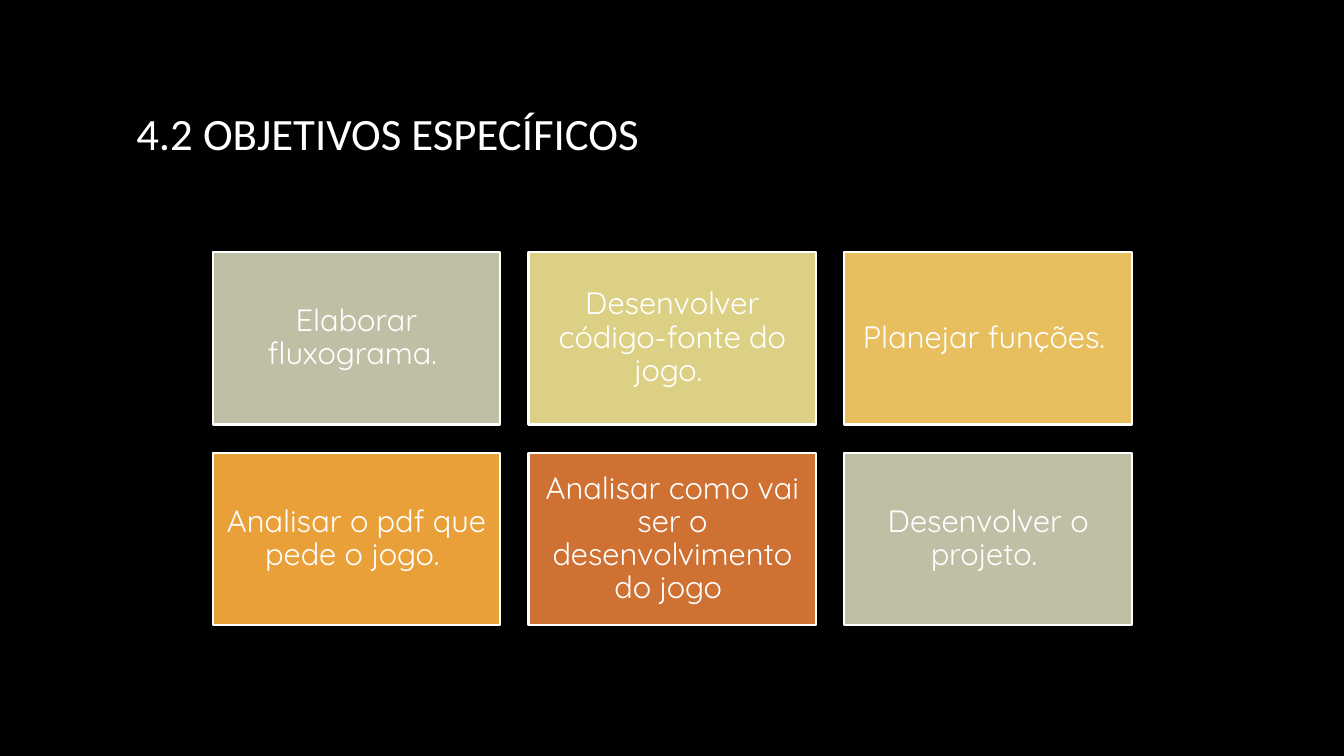
from dataclasses import dataclass

from pptx import Presentation
from pptx import util as u
from pptx.dml.color import RGBColor
from pptx.enum import shapes, text


@dataclass(frozen=True)
class Theme:
    background: str = "000000"
    ink: str = "FFFFFF"
    accents: tuple = ("BFBFA5", "DCD084", "E7BF5F", "E9A039", "CF7133")
    title_font: str = "Calibri"
    card_font: str = "Quicksand"
    title_size: int = 32
    card_size: int = 22
    outline: float = 1.5


THEME = Theme()

TITLE = "4.2 OBJETIVOS ESPECÍFICOS"
OBJECTIVES = [
    "Elaborar fluxograma. ",
    "Desenvolver código-fonte do jogo. ",
    "Planejar funções. ",
    "Analisar o pdf que pede o jogo. ",
    "Analisar como vai ser o desenvolvimento do jogo ",
    "Desenvolver o projeto. ",
]

# Card grid, in centimetres
COLUMNS = 3
GRID_LEFT, GRID_TOP = 5.36, 6.35
CARD_WIDTH, CARD_HEIGHT, GAP = 7.25, 4.35, 0.71
CARD_INSET = 0.23


def paint(fill, color):
    fill.solid()
    fill.fore_color.rgb = RGBColor.from_string(color)


def write(frame, words, *, font, size, align, spacing=None, inset=None):
    frame.word_wrap = True
    frame.auto_size = text.MSO_AUTO_SIZE.NONE
    frame.vertical_anchor = text.MSO_ANCHOR.MIDDLE
    if inset is not None:
        frame.margin_left = frame.margin_right = u.Cm(inset)
        frame.margin_top = frame.margin_bottom = u.Cm(inset)
    paragraph = frame.paragraphs[0]
    paragraph.alignment = align
    paragraph.line_spacing = spacing
    run = paragraph.add_run()
    run.text = words
    run.font.name = font
    run.font.size = u.Pt(size)
    run.font.color.rgb = RGBColor.from_string(THEME.ink)


def place_title(slide, words):
    heading = slide.shapes.title
    heading.left, heading.top = u.Cm(3.18), u.Cm(1.3)
    heading.width, heading.height = u.Cm(27.5), u.Cm(4.08)
    write(heading.text_frame, words, font=THEME.title_font,
          size=THEME.title_size, align=text.PP_ALIGN.LEFT)


def add_objective(slide, index, words):
    row, column = divmod(index, COLUMNS)
    objective = slide.shapes.add_shape(
        shapes.MSO_SHAPE.RECTANGLE,
        u.Cm(GRID_LEFT + column * (CARD_WIDTH + GAP)),
        u.Cm(GRID_TOP + row * (CARD_HEIGHT + GAP)),
        u.Cm(CARD_WIDTH), u.Cm(CARD_HEIGHT))
    objective.shadow.inherit = False
    paint(objective.fill, THEME.accents[index % len(THEME.accents)])
    paint(objective.line.fill, THEME.ink)
    objective.line.width = u.Pt(THEME.outline)
    write(objective.text_frame, words, font=THEME.card_font,
          size=THEME.card_size, align=text.PP_ALIGN.CENTER,
          spacing=0.9, inset=CARD_INSET)


def main():
    deck = Presentation()
    deck.slide_width, deck.slide_height = u.Cm(33.87), u.Cm(19.05)

    # Title Only layout on a dark background
    slide = deck.slides.add_slide(deck.slide_layouts[5])
    paint(slide.background.fill, THEME.background)
    place_title(slide, TITLE)

    # Objectives, row by row
    for index, words in enumerate(OBJECTIVES):
        add_objective(slide, index, words)

    deck.save("out.pptx")


if __name__ == "__main__":
    main()
